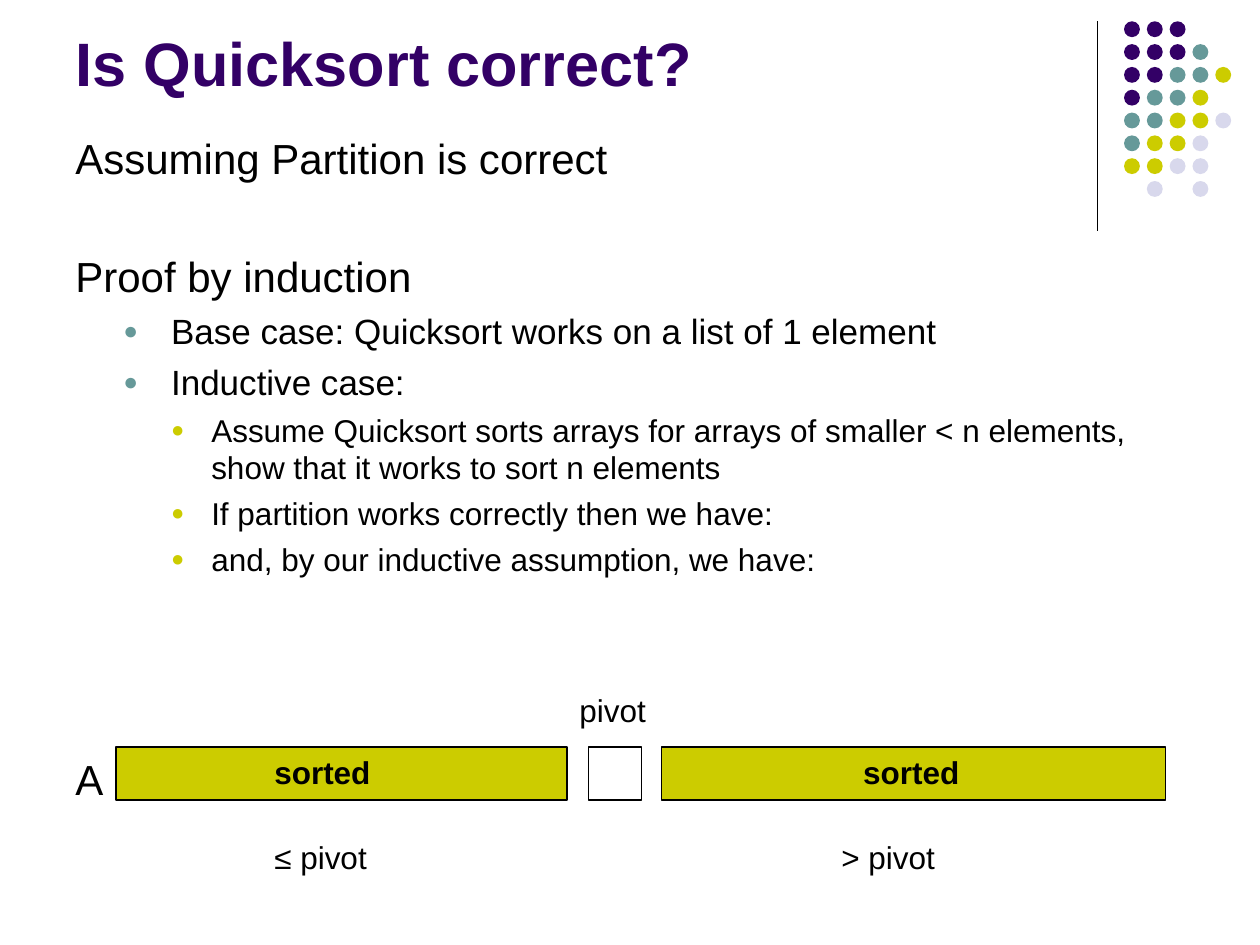
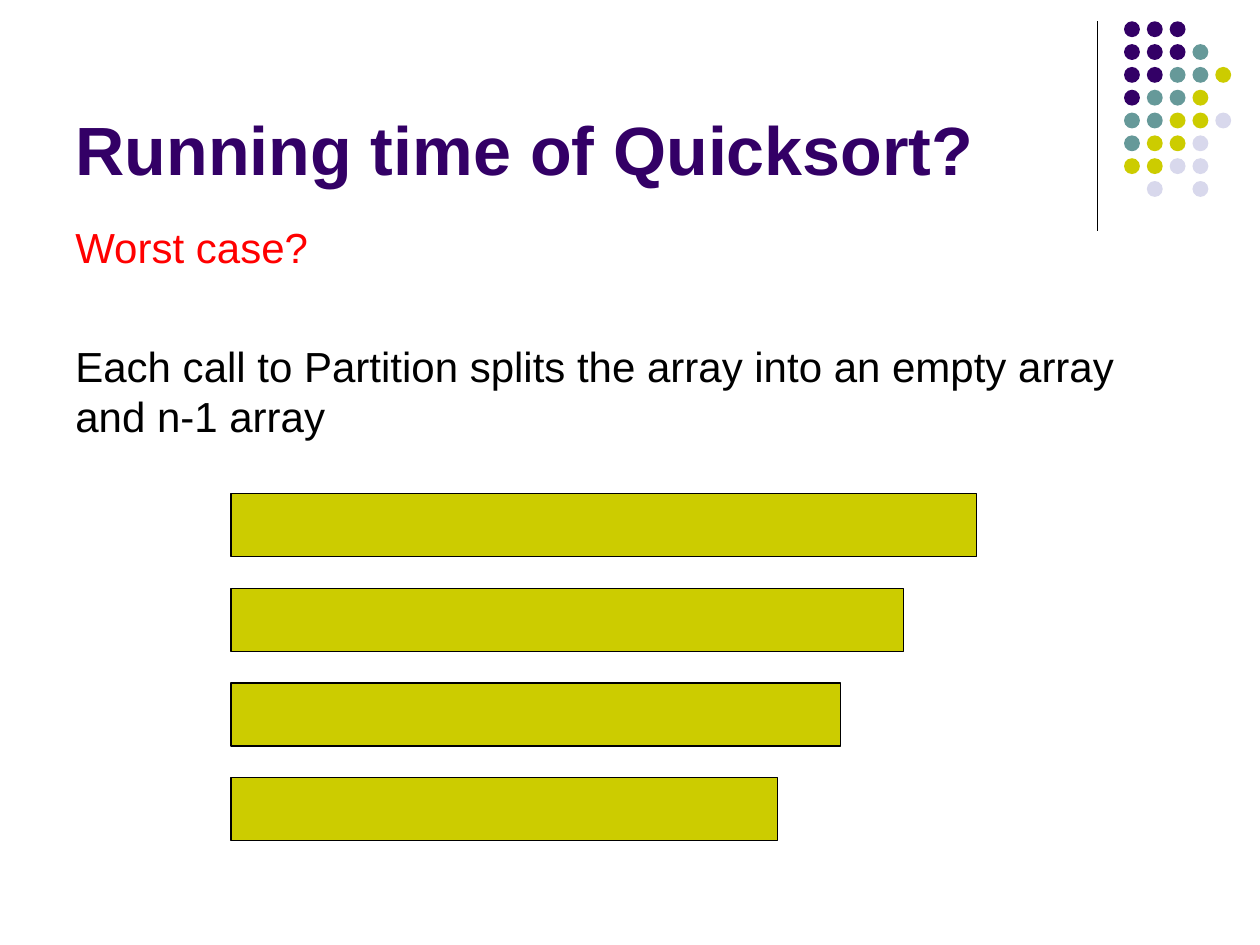
from dataclasses import dataclass
from lxml.etree import SubElement
from pptx import Presentation
from pptx.dml.color import RGBColor
from pptx.enum.shapes import MSO_CONNECTOR, MSO_SHAPE
from pptx.enum.text import MSO_ANCHOR, MSO_AUTO_SIZE, PP_ALIGN
from pptx.oxml.ns import qn
from pptx.util import Cm, Pt


@dataclass(frozen=True)
class Theme:
    font: str = "Arial"
    plum: str = "330066"
    teal: str = "669999"
    lime: str = "CCCC00"
    mist: str = "D8D8EC"
    black: str = "000000"
    white: str = "FFFFFF"
    red: str = "FF0000"
    body: int = 24
    point: int = 20
    small: int = 18
    line: float = 0.75


THEME = Theme()
LEFT = 1.27
BREAK = 39  # space in points between two blocks of body text

# One letter per dot: plum, teal, lime, mist
DOTS = ["ppp", "pppt", "ppttl", "pttl", "ttllm", "tllm", "llmm", " m m"]
INKS = {"p": THEME.plum, "t": THEME.teal, "l": THEME.lime, "m": THEME.mist}

# Bullet levels: size, left margin, hanging indent, bullet colour, space before
LEVELS = {
    1: (THEME.point, 1.93, 0.96, THEME.teal, 5),
    2: (THEME.small, 2.74, 0.81, THEME.lime, 4.5),
}


def rgb(code):
    return RGBColor.from_string(code)


def write(para, words, size=THEME.small, color=THEME.black, bold=False, before=0):
    para.alignment = PP_ALIGN.LEFT
    para.space_before = Pt(before)
    run = para.add_run()
    run.text = words
    font = run.font
    font.name, font.size, font.bold = THEME.font, Pt(size), bold
    font.color.rgb = rgb(color)


def bullet(para, words, level):
    size, margin, hang, color, before = LEVELS[level]
    write(para, words, size=size, before=before)
    para.level = level
    props = para._p.get_or_add_pPr()
    props.set("marL", str(Cm(margin)))
    props.set("indent", str(-Cm(hang)))
    tint = SubElement(props, qn("a:buClr"))
    SubElement(tint, qn("a:srgbClr"), val=color)
    SubElement(props, qn("a:buSzPct"), val="70000")
    SubElement(props, qn("a:buFont"), typeface=THEME.font)
    SubElement(props, qn("a:buChar"), char="●")


def add_frame(slide, x, y, w, h):
    frame = slide.shapes.add_textbox(Cm(x), Cm(y), Cm(w), Cm(h)).text_frame
    frame.word_wrap = True
    return frame


def label(slide, words, x, y, w, h=1.02, **style):
    write(add_frame(slide, x, y, w, h).paragraphs[0], words, **style)


def paint(shapes, kind, x, y, w, h, fill, edge=None):
    """Add a filled shape, outlined only if an edge colour is given."""
    shape = shapes.add_shape(kind, Cm(x), Cm(y), Cm(w), Cm(h))
    shape.shadow.inherit = False
    shape.fill.solid()
    shape.fill.fore_color.rgb = rgb(fill)
    if edge:
        shape.line.color.rgb = rgb(edge)
        shape.line.width = Pt(THEME.line)
    else:
        shape.line.fill.background()


def bar(slide, x, y, w, h, fill=THEME.lime):
    paint(slide.shapes, MSO_SHAPE.RECTANGLE, x, y, w, h, fill, THEME.black)


def adorn(slide):
    """Draw the rule and the dot pattern in the top right corner."""
    rule = slide.shapes.add_connector(
        MSO_CONNECTOR.STRAIGHT, Cm(22.12), Cm(0.43), Cm(22.12), Cm(4.65))
    rule.line.color.rgb = rgb(THEME.black)
    rule.line.width = Pt(THEME.line)
    SubElement(rule._element.spPr, qn("a:effectLst"))
    group = slide.shapes.add_group_shape()
    for row, marks in enumerate(DOTS):
        for col, mark in enumerate(marks):
            if mark in INKS:
                paint(group.shapes, MSO_SHAPE.OVAL, 22.66 + 0.46 * col,
                      0.43 + 0.46 * row, 0.32, 0.32, INKS[mark])


def start(deck, words, size, height):
    """Add a slide with the shared corner and a title of the given height."""
    slide = deck.slides.add_slide(deck.slide_layouts[5])
    adorn(slide)
    title = slide.shapes.title
    title.left, title.top = Cm(LEFT), Cm(0.33)
    title.width, title.height = Cm(20.95), Cm(height)
    frame = title.text_frame
    frame.word_wrap = True
    frame.auto_size = MSO_AUTO_SIZE.NONE
    frame.vertical_anchor = MSO_ANCHOR.BOTTOM
    write(frame.paragraphs[0], words, size=size, color=THEME.plum, bold=True)
    return slide


def proof(deck):
    slide = start(deck, "Is Quicksort correct?", 35, 1.78)
    frame = add_frame(slide, LEFT, 2.54, 22.86, 8.05)
    write(frame.paragraphs[0], "Assuming Partition is correct", size=THEME.body)
    write(frame.add_paragraph(), "Proof by induction", size=THEME.body, before=BREAK)
    for level, words in [
        (1, "Base case: Quicksort works on a list of 1 element"),
        (1, "Inductive case:"),
        (2, "Assume Quicksort sorts arrays for arrays of smaller < n elements, "
            "show that it works to sort n elements"),
        (2, "If partition works correctly then we have:"),
        (2, "and, by our inductive assumption, we have:"),
    ]:
        bullet(frame.add_paragraph(), words, level)

    top, high = 15.06, 1.07
    label(slide, "A", LEFT, top, 1.07, 1.27, size=THEME.body)
    for x, w, fill in [(2.34, 9.09, THEME.lime), (13.34, 10.16, THEME.lime),
                       (11.86, high, THEME.white)]:
        bar(slide, x, top, w, high, fill)
    label(slide, "pivot", 11.43, 13.8, 1.91)
    label(slide, "≤ pivot", 5.28, 16.76, 2.97)
    label(slide, "> pivot", 16.71, 16.76, 2.97)
    for x in (5.28, 17.15):
        label(slide, "sorted", x, top, 2.74, bold=True)


def worst(deck):
    slide = start(deck, "Running time of Quicksort?", 39, 3.61)
    frame = add_frame(slide, LEFT, 4.34, 22.86, 3.91)
    write(frame.paragraphs[0], "Worst case?", size=THEME.body, color=THEME.red)
    write(frame.add_paragraph(),
          "Each call to Partition splits the array into an empty array and n-1 array",
          size=THEME.body, before=BREAK)
    for row, width in enumerate([15.03, 13.55, 12.28, 11.01]):
        bar(slide, 4.66, 9.95 + 1.91 * row, width, 1.27)


def main():
    deck = Presentation()
    deck.slide_width, deck.slide_height = Cm(25.4), Cm(19.05)
    proof(deck)
    worst(deck)
    deck.save("out.pptx")


if __name__ == "__main__":
    main()
